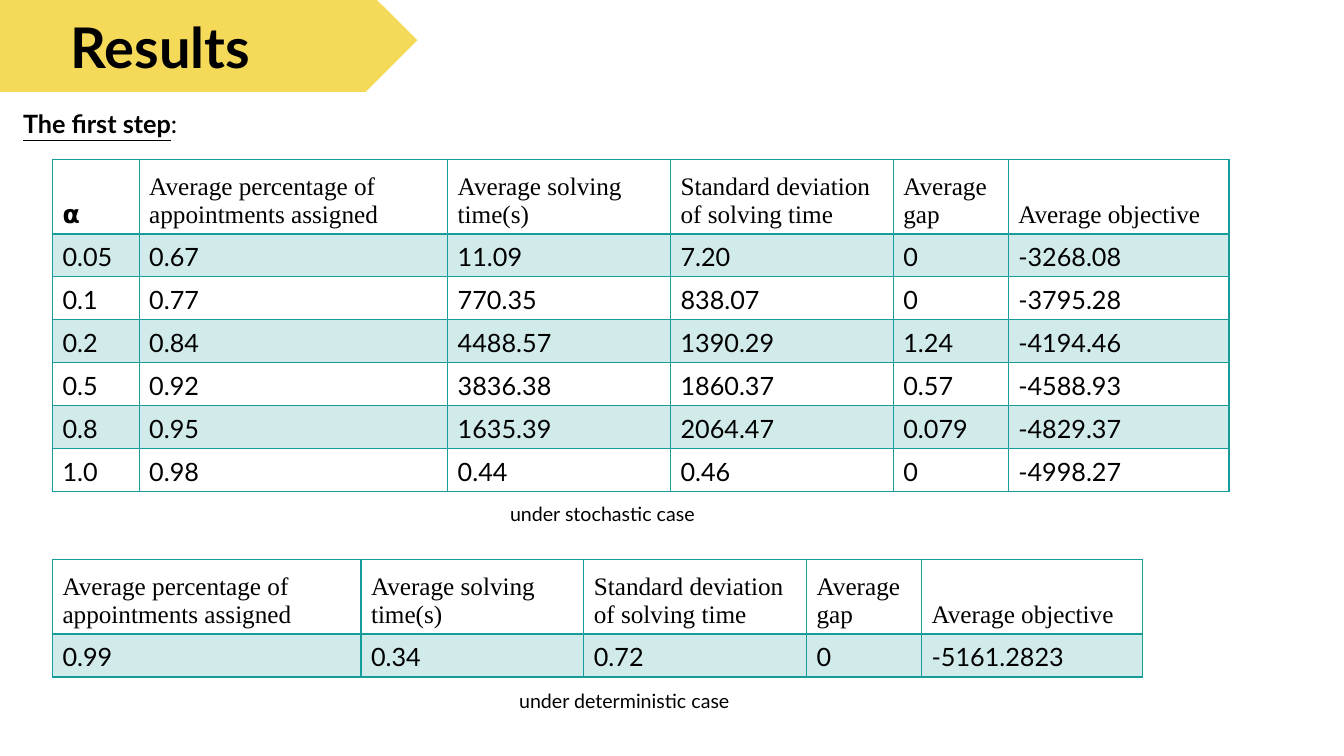
from dataclasses import dataclass

from lxml import etree
from pptx import Presentation
from pptx.dml.color import RGBColor
from pptx.enum.shapes import MSO_SHAPE
from pptx.enum.text import MSO_ANCHOR, MSO_AUTO_SIZE, PP_ALIGN
from pptx.oxml.ns import qn
from pptx.util import Inches, Pt

PLATE = MSO_SHAPE.PENTAGON
BOTTOM, TOP = MSO_ANCHOR.BOTTOM, MSO_ANCHOR.TOP
LEFT, CENTER = PP_ALIGN.LEFT, PP_ALIGN.CENTER
GROW = MSO_AUTO_SIZE.SHAPE_TO_FIT_TEXT
COLORS = {"banner": "F1C600", "teal": "169C9A", "text": "000000"}
SANS, SERIF = "Lato", "Times New Roman"
HEAD_ROW = 0.74
BODY_ROW = (3.3 - HEAD_ROW) / 6  # the tall table is 3.3 high

# Columns shared by both tables: heading and width
MEASURES = [
    ("Average percentage of appointments assigned", 3.06),
    ("Average solving time(s)", 2.21),
    ("Standard deviation of solving time", 2.21),
    ("Average gap", 1.14),
    ("Average objective", 2.19),
]


@dataclass
class Grid:
    top: float
    cols: list[tuple[str, float]]
    rows: list[list[str]]


@dataclass
class Label:
    text: str
    box: tuple[float, float, float, float]
    size: int
    bold: bool = False
    align: PP_ALIGN = LEFT
    anchor: MSO_ANCHOR = TOP
    space: float = 1.0
    wrap: bool = True
    grow: bool = True
    tail: str = ""  # plain text after an underlined bold lead


GRIDS = [
    Grid(1.58, [("⍺", 0.86)] + MEASURES, [
        ["0.05", "0.67", "11.09", "7.20", "0", "-3268.08"],
        ["0.1", "0.77", "770.35", "838.07", "0", "-3795.28"],
        ["0.2", "0.84", "4488.57", "1390.29", "1.24", "-4194.46"],
        ["0.5", "0.92", "3836.38", "1860.37", "0.57", "-4588.93"],
        ["0.8", "0.95", "1635.39", "2064.47", "0.079", "-4829.37"],
        ["1.0", "0.98", "0.44", "0.46", "0", "-4998.27"],
    ]),
    Grid(5.55, MEASURES, [["0.99", "0.34", "0.72", "0", "-5161.2823"]]),
]
LABELS = [
    Label("Results", (-0.67, -0.31, 4.52, 1.16), 40, bold=True,
          align=CENTER, anchor=BOTTOM, space=0.9, grow=False),
    Label("The first step", (0.13, 1.03, 1.89, 0.4), 18, bold=True, tail=":"),
    Label("under stochastic case", (4.96, 4.93, 2.22, 0.34), 14, wrap=False),
    Label("under deterministic case", (5.05, 6.79, 2.45, 0.34), 14, wrap=False),
]


def set_font(font, name: str, size: int, bold: bool = False) -> None:
    font.name, font.size, font.bold = name, Pt(size), bold
    font.color.rgb = RGBColor.from_string(COLORS["text"])


def set_fill(item, props, color: str, alpha: int) -> None:
    """Fill a shape or cell with a colour at alpha percent."""
    item.fill.solid()
    item.fill.fore_color.rgb = RGBColor.from_string(COLORS[color])
    tint = props.find(qn("a:solidFill")).find(qn("a:srgbClr"))
    etree.SubElement(tint, qn("a:alpha")).set("val", str(alpha * 1000))


def set_edges(props, base: int) -> None:
    """Draw the four cell borders, the bottom one base points wide."""
    for i, (side, width) in enumerate(zip("LRTB", (1, 1, 1, base))):
        line = etree.Element(qn(f"a:ln{side}"), w=str(Pt(width)))
        paint = etree.SubElement(line, qn("a:solidFill"))
        etree.SubElement(paint, qn("a:srgbClr")).set("val", COLORS["teal"])
        props.insert(i, line)


def add_banner(slide) -> None:
    banner = slide.shapes.add_shape(
        PLATE, *map(Inches, (-0.09, -0.11, 4.23, 1.02)))
    banner.shadow.inherit = False
    banner.line.fill.background()
    set_fill(banner, banner._element.spPr, "banner", 65)


def add_label(slide, label: Label) -> None:
    frame = slide.shapes.add_textbox(*map(Inches, label.box)).text_frame
    frame.word_wrap = label.wrap
    frame.vertical_anchor = label.anchor
    if label.grow:
        frame.auto_size = GROW
    para = frame.paragraphs[0]
    para.alignment = label.align
    para.line_spacing = label.space
    lead = para.add_run()
    lead.text = label.text
    if label.tail:
        rest = para.add_run()
        rest.text = label.tail
        set_font(lead.font, SANS, label.size, label.bold)
        set_font(rest.font, SANS, label.size)
        lead.font.underline = True
    else:
        set_font(para.font, SANS, label.size, label.bold)


def add_grid(slide, grid: Grid) -> None:
    heads = [head for head, _ in grid.cols]
    widths = [width for _, width in grid.cols]
    lines = [heads] + grid.rows
    high = HEAD_ROW + BODY_ROW * len(grid.rows)
    table = slide.shapes.add_table(
        len(lines), len(heads),
        *map(Inches, (0.52, grid.top, sum(widths), high))).table
    table.first_row = table.horz_banding = False
    for col, width in zip(table.columns, widths):
        col.width = Inches(width)
    for r, line in enumerate(lines):
        table.rows[r].height = Inches(BODY_ROW if r else HEAD_ROW)
        for c, text in enumerate(line):
            cell = table.cell(r, c)
            cell.text = text
            cell.vertical_anchor = BOTTOM
            alpha = text == "⍺"
            name = SANS if r or alpha else SERIF
            set_font(cell.text_frame.paragraphs[0].font, name, 18, alpha)
            props = cell._tc.get_or_add_tcPr()
            if r % 2:
                set_fill(cell, props, "teal", 20)
            else:
                cell.fill.background()
            set_edges(props, 1 if r else 2)


def main() -> None:
    deck = Presentation()
    deck.slide_width, deck.slide_height = Inches(13.33), Inches(7.5)
    slide = deck.slides.add_slide(deck.slide_layouts[6])
    add_banner(slide)
    for label in LABELS:
        add_label(slide, label)
    for grid in GRIDS:
        add_grid(slide, grid)
    deck.save("out.pptx")


if __name__ == "__main__":
    main()
